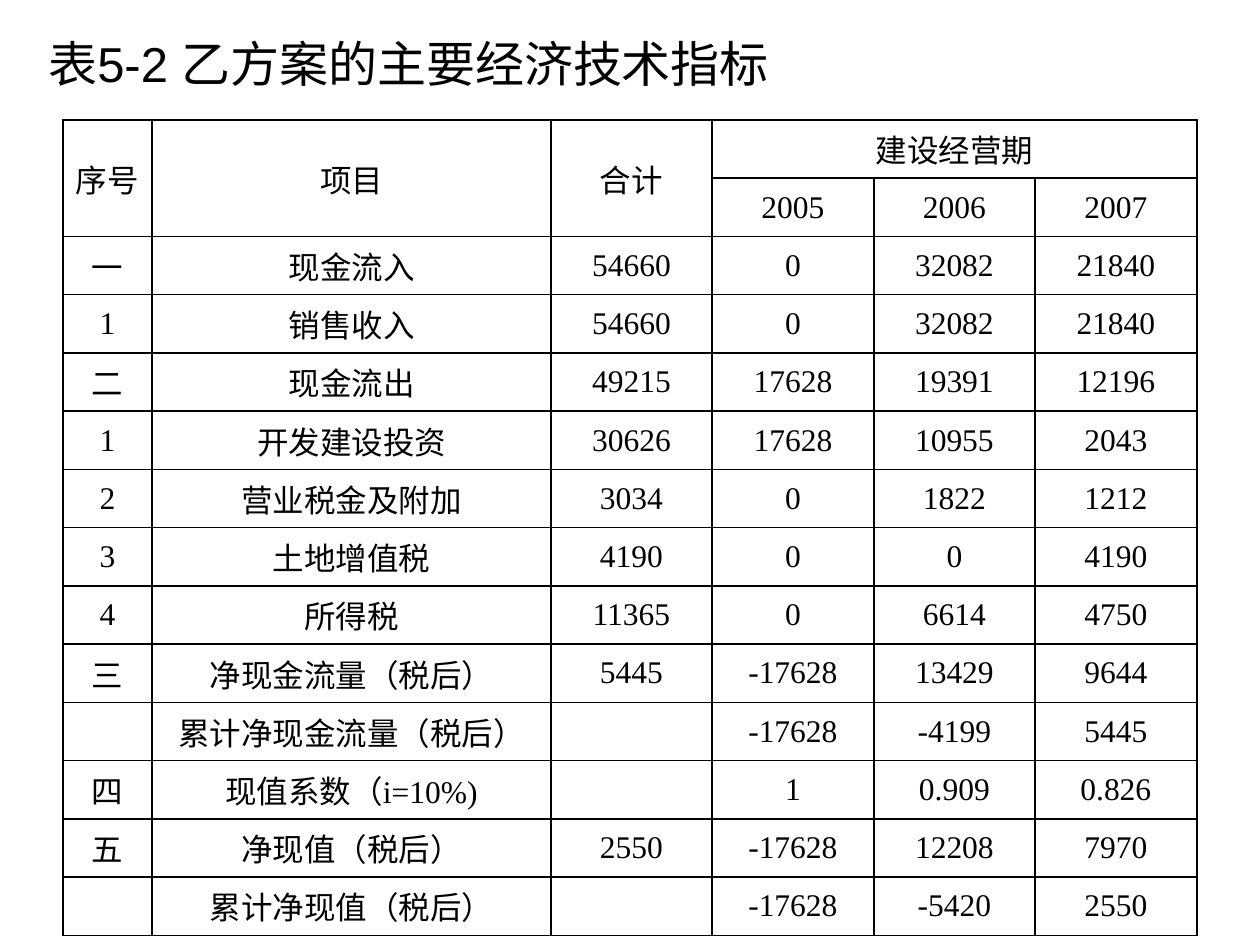
from lxml.etree import SubElement
from pptx import Presentation
from pptx.dml.color import RGBColor
from pptx.enum.text import MSO_ANCHOR, PP_ALIGN
from pptx.oxml.ns import qn
from pptx.util import Pt

PX = 914400 // 126  # EMU per pixel
BLACK = "000000"
COLS = [89, 399, 161, 162, 161, 162]
HANGING = 48
MERGES = [((0, 0), (1, 0)), ((0, 1), (1, 1)), ((0, 2), (1, 2)), ((0, 3), (0, 5))]
ROWS = [
    ["序号", "项目", "合计", "建设经营期", "", ""],
    ["", "", "", "2005", "2006", "2007"],
    ["一", "现金流入", "54660", "0", "32082", "21840"],
    ["1", "销售收入", "54660", "0", "32082", "21840"],
    ["二", "现金流出", "49215", "17628", "19391", "12196"],
    ["1", "开发建设投资", "30626", "17628", "10955", "2043"],
    ["2", "营业税金及附加", "3034", "0", "1822", "1212"],
    ["3", "土地增值税", "4190", "0", "0", "4190"],
    ["4", "所得税", "11365", "0", "6614", "4750"],
    ["三", "净现金流量（税后）", "5445", "-17628", "13429", "9644"],
    ["", "累计净现金流量（税后）", "", "-17628", "-4199", "5445"],
    ["四", "现值系数（i=10%)", "", "1", "0.909", "0.826"],
    ["五", "净现值（税后）", "2550", "-17628", "12208", "7970"],
    ["", "累计净现值（税后）", "", "-17628", "-5420", "2550"],
]


def px(n):
    return n * PX


def rgb(value):
    return RGBColor.from_string(value)


def add_run(p, text, size, name):
    r = p.add_run()
    r.text = text
    for key, value in {"size": Pt(size), "name": name}.items():
        setattr(r.font, key, value)
    r.font.color.rgb = rgb(BLACK)


def add_borders(cell):
    tc_pr = cell._tc.get_or_add_tcPr()
    for side in ("lnL", "lnR", "lnT", "lnB"):
        ln = SubElement(tc_pr, qn(f"a:{side}"), w=str(Pt(1)))
        fill = SubElement(ln, qn("a:solidFill"))
        SubElement(fill, qn("a:srgbClr"), val=BLACK)


def add_title(s, x, y, w, h):
    tf = s.shapes.add_textbox(px(x), px(y), px(w), px(h)).text_frame
    for key, value in {"word_wrap": True, "vertical_anchor": MSO_ANCHOR.MIDDLE}.items():
        setattr(tf, key, value)
    p = tf.paragraphs[0]
    add_run(p, "表5-2 乙方案的主要经济技术指标", 28, "Arial")
    add_run(p, " ", 36, "Arial")  # the larger space sets the line height


def fill_cell(cell, text):
    add_borders(cell)
    cell.fill.background()
    cell.vertical_anchor = MSO_ANCHOR.MIDDLE
    p = cell.text_frame.paragraphs[0]
    p.alignment = PP_ALIGN.CENTER
    p_pr = p._p.get_or_add_pPr()
    p_pr.set("marL", str(px(HANGING)))
    p_pr.set("indent", str(-px(HANGING)))
    if text:
        add_run(p, text, 18, "Times New Roman")


def add_indicator_table(s, x, y, h):
    table = s.shapes.add_table(len(ROWS), len(COLS), px(x), px(y),
                               px(sum(COLS)), px(h)).table
    table.first_row = table.horz_banding = False
    for col, w in zip(table.columns, COLS):
        col.width = px(w)
    for row, texts in zip(table.rows, ROWS):
        row.height = px(h) // len(ROWS)
        for cell, text in zip(row.cells, texts):
            fill_cell(cell, text)
    for first, last in MERGES:
        table.cell(*first).merge(table.cell(*last))


def main():
    prs = Presentation()
    prs.slide_width, prs.slide_height = px(1260), px(945)
    s = prs.slides.add_slide(prs.slide_layouts[6])
    add_title(s, 36, 17, 1134, 81)
    add_indicator_table(s, 63, 120, 816)
    prs.save("out.pptx")


if __name__ == "__main__":
    main()
